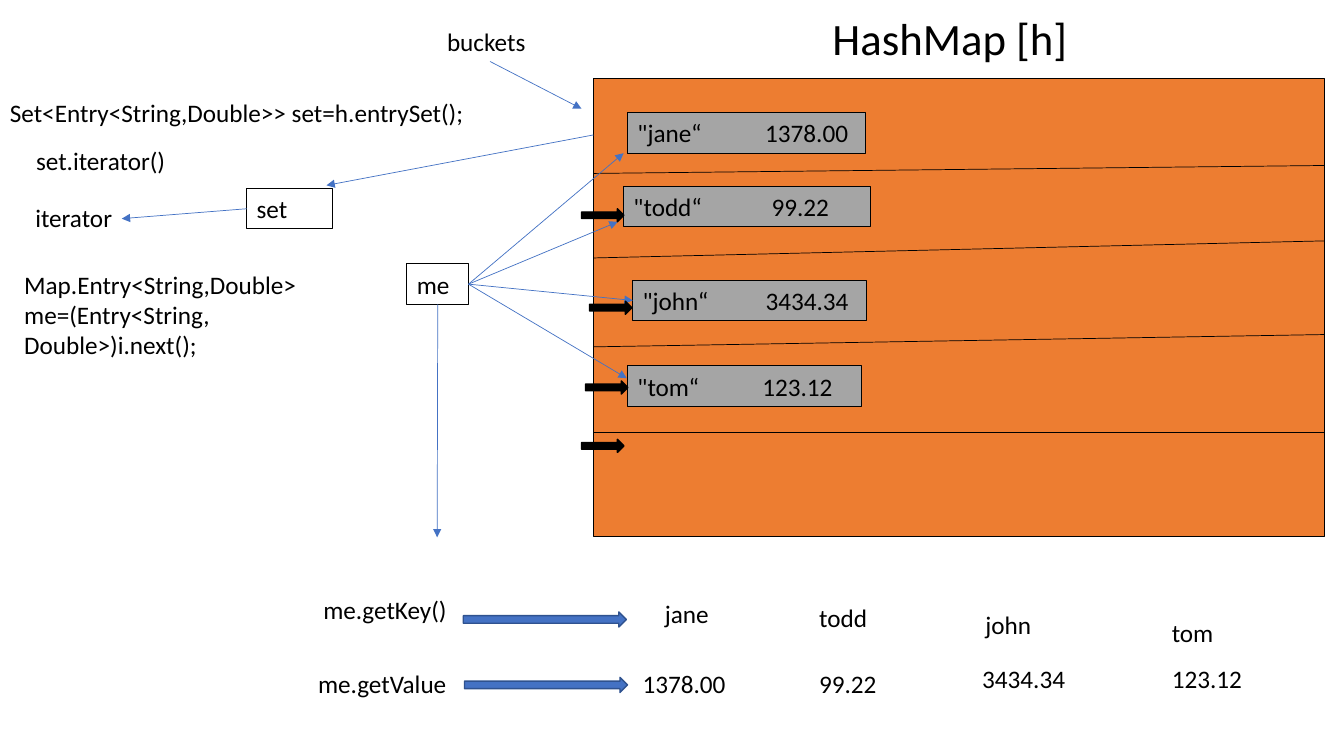
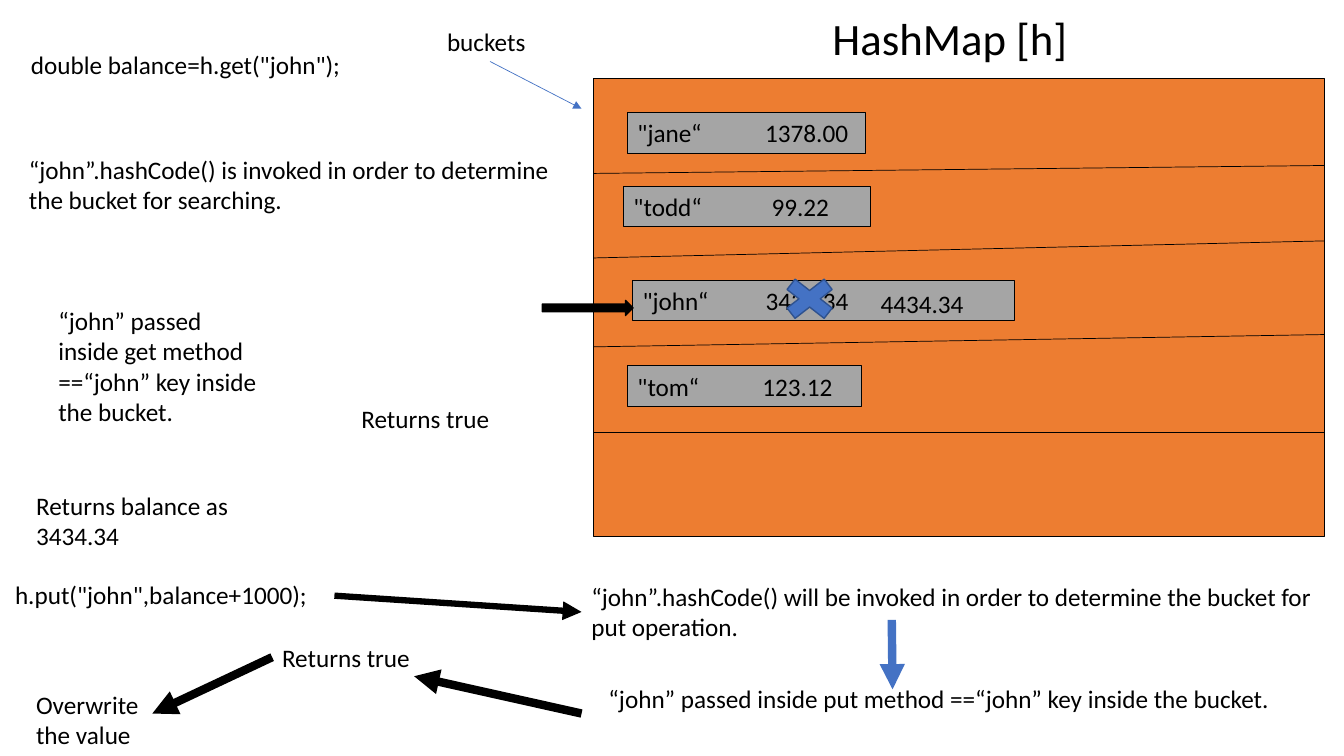
from lxml import etree
from pptx import Presentation
from pptx.dml.color import RGBColor
from pptx.enum import shapes, text
from pptx.oxml import ns
from pptx.util import Cm, Pt

COLORS = {
    "black": "000000",
    "orange": "ED7D31",
    "gray": "A5A5A5",
    "blue": "4472C4",
    "navy": "2F528F",
}
FONT = "Calibri"
LINE_HEIGHT = 1.02
LEFT, TOP, WIDTH, HEIGHT = 14.96, 1.98, 18.42, 11.53
DIVIDERS = [(4.37, 4.17), (6.5, 6.07), (8.74, 8.43), (10.9, 10.9)]
BOTTOM_SITE, LEFT_SITE, RIGHT_SITE = 2, 1, 3


def color(name):
    return RGBColor.from_string(COLORS[name])


class Deck:
    def __init__(self):
        self.presentation = Presentation()
        self.presentation.slide_width = Cm(33.88)
        self.presentation.slide_height = Cm(19.05)
        self.slide = None

    def new_slide(self, title):
        layout = self.presentation.slide_layouts[5]
        self.slide = self.presentation.slides.add_slide(layout)
        shape = self.slide.shapes.title
        shape.left, shape.top, shape.width, shape.height = map(Cm, (20.73, 0.15, 7.72, 1.63))
        self.set_text(shape, title, size=32)

    def set_text(self, shape, content, size=18, tab=None):
        frame = shape.text_frame
        frame.text = content
        frame.word_wrap = True
        frame.auto_size = text.MSO_AUTO_SIZE.SHAPE_TO_FIT_TEXT
        frame.vertical_anchor = text.MSO_ANCHOR.TOP
        paragraph = frame.paragraphs[0]
        paragraph.alignment = text.PP_ALIGN.LEFT
        if tab:
            properties = paragraph._p.get_or_add_pPr()
            tabs = etree.SubElement(properties, ns.qn("a:tabLst"))
            etree.SubElement(tabs, ns.qn("a:tab"), pos=str(Cm(tab)), algn="l")
        paragraph.font.name = FONT
        paragraph.font.size = Pt(size)
        paragraph.font.color.rgb = color("black")

    def label(self, content, left, top, width, lines=1):
        height = LINE_HEIGHT + (lines - 1) * 0.76
        shape = self.slide.shapes.add_textbox(Cm(left), Cm(top), Cm(width), Cm(height))
        self.set_text(shape, content)
        return shape

    def shape(self, kind, left, top, width, height, fill=None, line="black", weight=0.75):
        shape = self.slide.shapes.add_shape(kind, Cm(left), Cm(top), Cm(width), Cm(height))
        shape.shadow.inherit = False
        if fill:
            shape.fill.solid()
            shape.fill.fore_color.rgb = color(fill)
        else:
            shape.fill.background()
        shape.line.color.rgb = color(line)
        shape.line.width = Pt(weight)
        return shape

    def box(self, content, left, top, width, fill=None, tab=None):
        shape = self.shape(shapes.MSO_SHAPE.RECTANGLE, left, top, width, LINE_HEIGHT, fill)
        self.set_text(shape, content, tab=tab)
        return shape

    def block_arrow(self, left, top, width, height, fill="black", line="black"):
        return self.shape(shapes.MSO_SHAPE.RIGHT_ARROW, left, top, width, height, fill, line, 1)

    def line(self, start, end, name="blue", weight=0.5, arrow=True):
        def point(place):
            return (0, 0) if hasattr(place[0], "shape_id") else tuple(map(Cm, place))

        connector = self.slide.shapes.add_connector(
            shapes.MSO_CONNECTOR.STRAIGHT, *point(start), *point(end))
        if hasattr(start[0], "shape_id"):
            connector.begin_connect(*start)
        if hasattr(end[0], "shape_id"):
            connector.end_connect(*end)
        connector.line.color.rgb = color(name)
        connector.line.width = Pt(weight)
        if arrow:
            etree.SubElement(connector.line._get_or_add_ln(), ns.qn("a:tailEnd"), type="triangle")
        etree.SubElement(connector._element.spPr, ns.qn("a:effectLst"))

    def hash_map(self, john_width):
        self.new_slide("HashMap [h]")
        self.shape(shapes.MSO_SHAPE.RECTANGLE, LEFT, TOP, WIDTH, HEIGHT, "orange")
        for left_end, right_end in DIVIDERS:
            self.line((LEFT, left_end), (LEFT + WIDTH, right_end), "black", arrow=False)
        entries = {}
        for key, value, left, top, width, tab in [
            ("jane", "1378.00", 15.82, 2.84, 5.99, 3.22),
            ("todd", "99.22", 15.72, 4.7, 6.22, 3.48),
            ("john", "3434.34", 15.95, 7.06, john_width, 3.1),
            ("tom", "123.12", 15.82, 9.22, 5.89, 3.15),
        ]:
            entries[key] = self.box(f'"{key}“\t{value}', left, top, width, "gray", tab)
        buckets = self.label("buckets", 11.02, 0.53, 2.67)
        self.line((buckets, BOTTOM_SITE), (14.66, 2.74))
        return entries


def iteration_slide(deck):
    entries = deck.hash_map(john_width=5.89)

    deck.label("Set<Entry<String,Double>> set=h.entrySet();", 0, 2.34, 12.6)
    deck.label("set.iterator()", 0.66, 3.53, 4.85)
    deck.label("iterator", 0.64, 4.98, 2.46)
    deck.label("Map.Entry<String,Double> me=(Entry<String, Double>)i.next();", 0.36, 6.65, 7.8, 3)
    set_box = deck.box("set", 6.22, 4.75, 2.16)
    me_box = deck.box("me", 10.26, 6.65, 1.55)

    deck.line((LEFT, 3.4), (8.23, 4.67))
    deck.line((set_box, LEFT_SITE), (3.07, 5.51))
    deck.line((me_box, BOTTOM_SITE), (11.02, 13.54))
    for target in [(15.72, 3.86), (15.57, 5.59), (entries["john"], LEFT_SITE), (15.8, 9.53)]:
        deck.line((me_box, RIGHT_SITE), target)
    for left, top in [(14.66, 5.26), (14.86, 7.59), (14.76, 9.6), (14.66, 11.07)]:
        deck.block_arrow(left, top, 1.07, 0.33)

    for call, left, top, arrow_left, arrow_top in [
        ("me.getKey()", 7.9, 14.86, 11.68, 15.42),
        ("me.getValue", 7.77, 16.71, 11.71, 17.07),
    ]:
        deck.label(call, left, top, 3.91)
        deck.block_arrow(arrow_left, arrow_top, 4.11, 0.38, "blue", "navy")
    for result, left, top in [
        ("jane", 16.51, 14.96), ("1378.00", 15.95, 16.71),
        ("todd", 20.4, 15.06), ("99.22", 20.4, 16.71),
        ("john", 24.59, 15.24), ("3434.34", 24.51, 16.59),
        ("tom", 29.29, 15.42), ("123.12", 29.29, 16.59),
    ]:
        deck.label(result, left, top, 3.2)


def get_and_put_slide(deck):
    deck.hash_map(john_width=9.63)

    deck.label('double balance=h.get("john");', 0.53, 1.12, 10.19)
    deck.label("“john”.hashCode() is invoked in order to determine the bucket for searching.",
               0.48, 3.76, 13.84, 2)
    deck.label("“john” passed inside get method ==“john” key inside the bucket.",
               1.22, 7.57, 5.64, 4)
    deck.label("Returns true", 8.86, 10.03, 4.78)
    deck.label("Returns balance as 3434.34", 0.66, 12.22, 6.83, 2)
    deck.block_arrow(13.67, 7.57, 2.29, 0.38)

    deck.label('h.put("john",balance+1000);', 0.13, 14.48, 8.76)
    hashing = deck.label(
        "“john”.hashCode() will be invoked in order to determine the bucket for put operation.",
        14.66, 14.53, 18.75, 2)
    deck.label("“john” passed inside put method ==“john” key inside the bucket.",
               15.09, 17.09, 18.7)
    returns = deck.label("Returns true", 6.86, 16.05, 4.78)
    deck.label("Overwrite the value", 0.66, 17.25, 4.06, 2)

    deck.line((8.43, 15.01), (hashing, LEFT_SITE), "black", 4.5)
    deck.line((22.48, 15.62), (22.5, 17.37), "blue", 6)
    deck.line((14.66, 17.98), (10.44, 17.04), "black", 6)
    deck.line((returns, LEFT_SITE), (3.84, 17.98), "black", 6)

    deck.shape(shapes.MSO_SHAPE.MATH_MULTIPLY, 19.51, 6.83, 1.8, 1.4, "blue", "navy", 1)
    deck.label("4434.34", 21.95, 7.14, 3.38)


def main():
    deck = Deck()
    iteration_slide(deck)
    get_and_put_slide(deck)
    deck.presentation.save("out.pptx")


if __name__ == "__main__":
    main()
